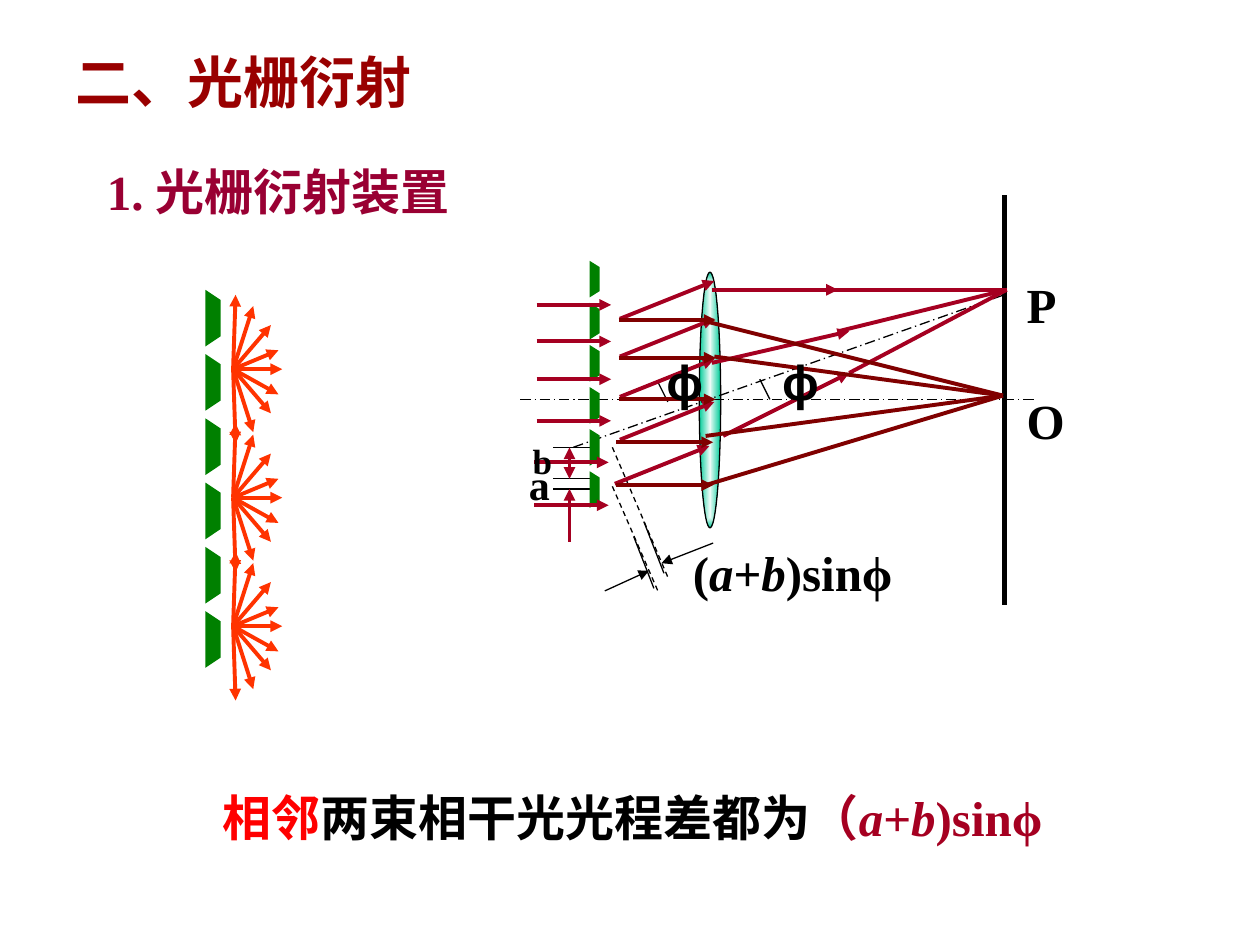
"""Build a slide on the diffraction grating arrangement and its path difference."""
from lxml import etree
from pptx import Presentation
from pptx.dml.color import RGBColor
from pptx.enum.dml import MSO_LINE
from pptx.enum.shapes import MSO_CONNECTOR, MSO_SHAPE
from pptx.enum.text import PP_ALIGN
from pptx.oxml.ns import qn
from pptx.util import Inches, Pt

BLACK = RGBColor(0x00, 0x00, 0x00)
RED = RGBColor(0xFF, 0x00, 0x00)
CRIMSON = RGBColor(0xA5, 0x00, 0x21)
MAROON = RGBColor(0x80, 0x00, 0x00)
TITLE_RED = RGBColor(0x99, 0x00, 0x00)
PLUM = RGBColor(0x99, 0x00, 0x33)
ORANGE = RGBColor(0xFF, 0x33, 0x00)
GREEN = RGBColor(0x00, 0x80, 0x00)
LENS_CENTRE = RGBColor(0xEC, 0xFB, 0xF7)
LENS_EDGE = RGBColor(0x00, 0xCC, 0x99)
STRAIGHT = MSO_CONNECTOR.STRAIGHT
OVAL = MSO_SHAPE.OVAL
DASH = MSO_LINE.DASH
DASH_DOT = MSO_LINE.LONG_DASH_DOT
LEFT = PP_ALIGN.LEFT
SERIF = "Times New Roman"
SANS = "Arial"


def add_span(para, text, size=28, color=BLACK, face=SERIF, italic=False):
    span = para.add_run()
    span.text = text
    span.font.size = Pt(size)
    span.font.name = face
    span.font.bold = True
    span.font.italic = italic
    span.font.color.rgb = color


def add_line(start, end, color=BLACK, width=0.75, dash=None, arrows=()):
    line = page.shapes.add_connector(STRAIGHT, *(Inches(v) for v in start + end))
    line.line.color.rgb = color
    line.line.width = Pt(width)
    if dash:
        line.line.dash_style = dash
    properties = line._element.spPr
    for arrow in arrows:
        etree.SubElement(properties.find(qn("a:ln")), qn(f"a:{arrow}End"), type="triangle")
    etree.SubElement(properties, qn("a:effectLst"))


deck = Presentation()
deck.slide_width = Inches(10)
deck.slide_height = Inches(7.5)
page = deck.slides.add_slide(deck.slide_layouts[5])

title = page.shapes.title
title.left, title.top, title.width, title.height = (Inches(v) for v in (0.5, 0.32, 2.99, 0.64))
title_para = title.text_frame.paragraphs[0]
title_para.alignment = LEFT
add_span(title_para, "二、光栅衍射", size=32, color=TITLE_RED)

for start, end in [((4.86, 3.86), (5.23, 4.71)), ((4.86, 3.55), (5.3, 4.58))]:
    add_line(start, end, dash=DASH)

for y in (3.55, 3.8, 3.88):
    add_line((4.39, y), (4.72, y))
add_line((4.52, 3.55), (4.52, 3.8), color=CRIMSON, width=2.25, arrows=("head", "tail"))
add_line((4.52, 4.3), (4.52, 3.88), color=CRIMSON, width=2.25, arrows=("tail",))

lens = page.shapes.add_shape(OVAL, Inches(5.55), Inches(2.16), Inches(0.17), Inches(2.03))
lens.shadow.inherit = False
lens.line.color.rgb = BLACK
lens.line.width = Pt(0.75)
lens.fill.gradient()
for stop, color in zip(lens.fill.gradient_stops, (LENS_CENTRE, LENS_EDGE)):
    stop.color.rgb = color
gradient = lens._element.spPr.find(qn("a:gradFill"))
gradient.remove(gradient.find(qn("a:lin")))
gradient_path = etree.Element(qn("a:path"), path="shape")
etree.SubElement(gradient_path, qn("a:fillToRect"), l="50000", t="50000", r="50000", b="50000")
gradient.find(qn("a:gsLst")).addnext(gradient_path)

add_line((7.97, 1.55), (7.97, 4.8), width=3)
add_line((4.13, 3.17), (8.22, 3.17), dash=DASH_DOT)
add_line((4.55, 3.55), (7.97, 2.34), dash=DASH_DOT)

image_point = (7.99, 2.3)
for start, middle, resume in [
    ((5.65, 2.3), (6.65, 2.3), (6.49, 2.3)),
    ((5.65, 2.88), (6.74, 2.63), (6.65, 2.63)),
    ((5.74, 3.46), (6.74, 2.96), (6.74, 2.96)),
]:
    add_line(start, middle, color=CRIMSON, width=2.25, arrows=("tail",))
    add_line(resume, image_point, color=CRIMSON, width=2.25)

for x, y in [(5.03, 4.26), (5.11, 4.14)]:
    add_line((x, y), (x + 0.16, y + 0.41))
for start, end in [((4.8, 4.69), (5.15, 4.53)), ((5.66, 4.31), (5.25, 4.47))]:
    add_line(start, end, arrows=("tail",))

for x, y in [(5.22, 3.03), (6.03, 3.01)]:
    builder = page.shapes.build_freeform(Inches(x), Inches(y))
    builder.add_line_segments([(Inches(x + 0.08), Inches(y + 0.16))], close=False)
    angle_mark = builder.convert_to_shape()
    angle_mark.shadow.inherit = False
    angle_mark.fill.background()
    angle_mark.line.color.rgb = BLACK
    angle_mark.line.width = Pt(0.75)

for left, right, first_top, step, height, slant in [
    (4.68, 4.76, 2.07, 0.334, 0.29, 0.05),
    (1.63, 1.75, 2.3, 0.51, 0.45, 0.08),
]:
    for index in range(6):
        top = first_top + index * step
        bottom = top + height
        builder = page.shapes.build_freeform(Inches(left), Inches(top))
        corners = [(right, top + slant), (right, bottom - slant), (left, bottom)]
        builder.add_line_segments([(Inches(x), Inches(y)) for x, y in corners])
        bar = builder.convert_to_shape()
        bar.shadow.inherit = False
        bar.fill.solid()
        bar.fill.fore_color.rgb = GREEN
        bar.line.fill.background()

for x, y in [(4.26, 2.42), (4.26, 2.71), (4.26, 3.01), (4.26, 3.34), (4.24, 3.67), (4.24, 4.01)]:
    add_line((x, y), (x + 0.59, y), color=CRIMSON, width=2.25, arrows=("tail",))

for x, y in [(4.92, 2.53), (4.92, 2.83), (4.92, 3.15), (4.92, 3.49), (4.88, 3.84)]:
    add_line((x, y), (x + 0.75, y - 0.3), color=CRIMSON, width=2.25, arrows=("tail",))

for x, y in [(4.91, 2.54), (4.91, 2.84), (4.91, 3.17), (4.89, 3.51), (4.89, 3.85)]:
    add_line((x, y), (x + 0.77, y), color=MAROON, width=2.25, arrows=("tail",))

for start in [(5.6, 2.55), (5.67, 2.83), (5.6, 3.46), (5.6, 3.85)]:
    add_line(start, (7.96, 3.14), color=MAROON, width=2.25)

fan = [(0.39, 0), (0.02, -0.59), (0.02, 0.59), (0.3, -0.35), (0.3, 0.35),
       (0.16, -0.5), (0.16, 0.5), (0.36, -0.15), (0.36, 0.2)]
for y in (2.93, 3.95, 4.97):
    for across, down in fan:
        add_line((1.85, y), (1.85 + across, y + down), color=ORANGE, width=2.25, arrows=("tail",))

labels = [
    (0.75, 1.23, 3.86, 0.57, True, [("1. 光栅衍射装置", {"color": PLUM})]),
    (5.4, 4.26, 1.85, 0.57, True, [
        ("(", {}), ("a", {"italic": True}), ("+", {}), ("b", {"italic": True}), (")sinϕ", {})]),
    (4.1, 3.59, 0.26, 0.5, True, [("a", {"size": 24})]),
    (4.13, 3.44, 0.26, 0.44, True, [("b", {"size": 20})]),
    (8.05, 2.13, 0.5, 0.57, True, [("P", {})]),
    (8.05, 3.05, 0.5, 0.57, True, [("O", {})]),
    (1.67, 6.2, 7.16, 0.57, True, [
        ("相邻", {"color": RED}), ("两束相干光光程差都为", {}), ("（", {"color": CRIMSON}),
        ("a", {"color": CRIMSON, "italic": True}), ("+", {"color": CRIMSON}),
        ("b", {"color": CRIMSON, "italic": True}), (")sinϕ", {"color": CRIMSON})]),
    (5.19, 2.74, 0.44, 0.57, False, [("ϕ", {"face": SANS})]),
    (6.11, 2.74, 0.44, 0.57, False, [("ϕ", {"face": SANS})]),
]
for left, top, width, height, wrap, spans in labels:
    box = page.shapes.add_textbox(Inches(left), Inches(top), Inches(width), Inches(height))
    box.text_frame.word_wrap = wrap
    for text, look in spans:
        add_span(box.text_frame.paragraphs[0], text, **look)

deck.save("out.pptx")
